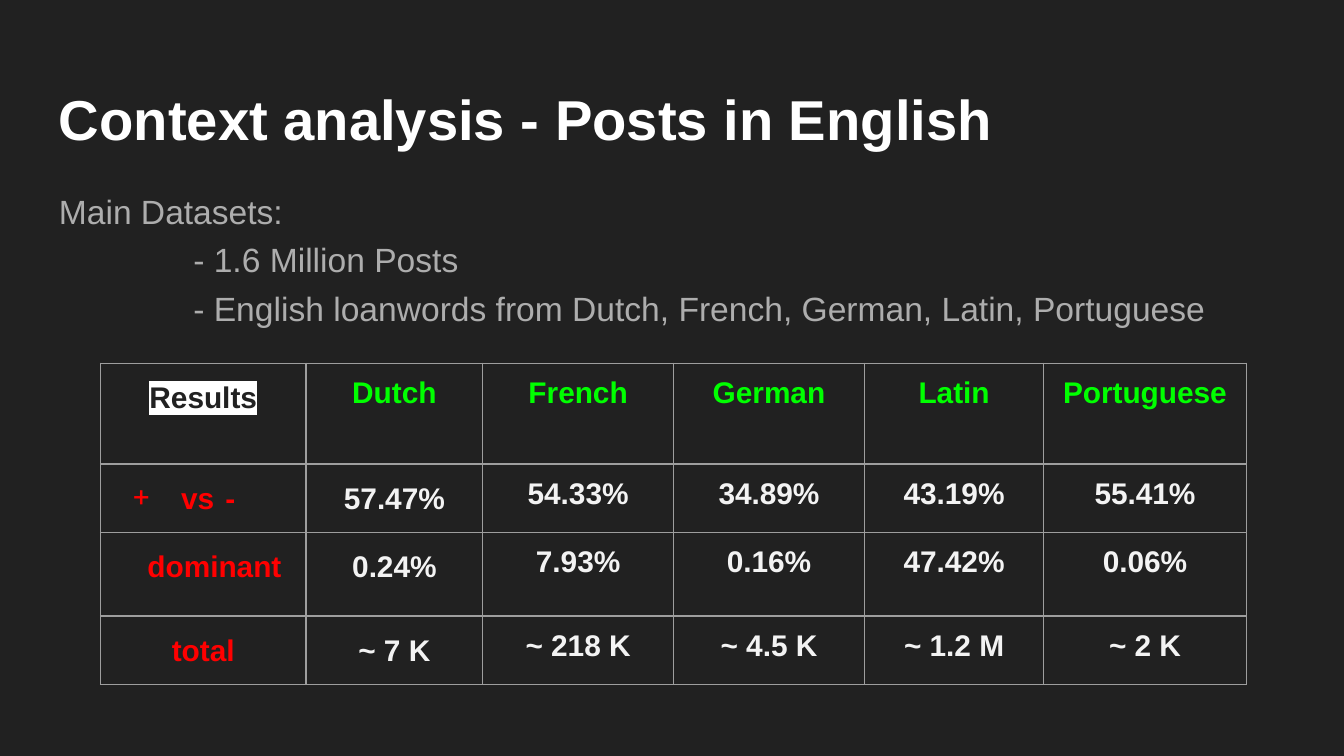
import pptx
import pptx.dml.color
import pptx.enum.text
import pptx.oxml.ns
import pptx.util
from lxml import etree

Pt = pptx.util.Pt
RGBColor = pptx.dml.color.RGBColor
CENTER = pptx.enum.text.PP_ALIGN.CENTER
qn = pptx.oxml.ns.qn

DARK = RGBColor(0x21, 0x21, 0x21)
WHITE = RGBColor(0xFF, 0xFF, 0xFF)
GREY = RGBColor(0xAD, 0xAD, 0xAD)
BORDER = RGBColor(0x9E, 0x9E, 0x9E)
GREEN = RGBColor(0x00, 0xFF, 0x00)
RED = RGBColor(0xFF, 0x00, 0x00)
PALE = RGBColor(0xF3, 0xF3, 0xF3)

FONT = "Arial"
INSET = 7.2
TITLE = "Context analysis - Posts in English"
DATASETS = [
    ("Main Datasets:", 0),
    ("- 1.6 Million Posts", 72),
    ("- English loanwords from Dutch, French, German, Latin, Portuguese", 72),
]
RESULTS = [
    ["Results", "Dutch", "French", "German", "Latin", "Portuguese"],
    ["vs\t-", "57.47%", "54.33%", "34.89%", "43.19%", "55.41%"],
    ["dominant", "0.24%", "7.93%", "0.16%", "47.42%", "0.06%"],
    ["total", "~ 7 K", "~ 218 K", "~ 4.5 K", "~ 1.2 M", "~ 2 K"],
]
COLUMN_WIDTHS = [110.2, 94.6, 102.3, 102.3, 96, 108.6]
ROW_HEIGHTS = [54, 34.8, 45, 34.8]


def add_solid(parent, tag, color):
    """Append a DrawingML element that holds one RGB colour."""
    node = etree.SubElement(parent, qn(tag))
    etree.SubElement(node, qn("a:srgbClr"), val=str(color))
    return node


def style(p, size, color, bold=False):
    """Format every run of a paragraph."""
    for r in p.runs:
        r.font.name = FONT
        r.font.size = Pt(size)
        r.font.bold = bold
        r.font.color.rgb = color


def indent(p, left, first=0):
    """Set the left margin and first-line indent of a paragraph."""
    pPr = p._p.get_or_add_pPr()
    pPr.set("marL", str(Pt(left)))
    pPr.set("indent", str(Pt(first)))
    return pPr


def add_text_frame(s, box, top_inset=INSET, bottom_inset=INSET):
    """Add a wrapping text box and return its text frame."""
    tf = s.shapes.add_textbox(*map(Pt, box)).text_frame
    tf.word_wrap = True
    tf.margin_left = tf.margin_right = Pt(INSET)
    tf.margin_top, tf.margin_bottom = Pt(top_inset), Pt(bottom_inset)
    return tf


def add_title(s, box):
    """Place the slide title in the box."""
    tf = add_text_frame(s, box, 10, 0)
    tf.text = TITLE
    style(tf.paragraphs[0], 30.1, WHITE, True)


def add_datasets(s, box):
    """Place the dataset list in the box."""
    tf = add_text_frame(s, box)
    tf.text = "\n".join(text for text, _ in DATASETS)
    for p, (_, left) in zip(tf.paragraphs, DATASETS):
        p.line_spacing = 1.2
        indent(p, left)
        style(p, 18, GREY)


def add_borders(cell):
    """Draw a thin line on all four sides of a cell."""
    tcPr = cell._tc.get_or_add_tcPr()
    for i, side in enumerate(("a:lnL", "a:lnR", "a:lnT", "a:lnB")):
        line = etree.Element(qn(side), w=str(Pt(0.75)))
        add_solid(line, "a:solidFill", BORDER)
        tcPr.insert(i, line)


def add_plus_bullet(p):
    """Give a paragraph a red plus bullet and a tab stop."""
    pPr = indent(p, 36, -26)
    add_solid(pPr, "a:buClr", RED)
    etree.SubElement(pPr, qn("a:buChar"), char="+")
    tabs = etree.SubElement(pPr, qn("a:tabLst"))
    etree.SubElement(tabs, qn("a:tab"), pos=str(Pt(36)), algn="l")


def highlight(r, color):
    """Put a colour behind the text of a run."""
    rPr = r._r.get_or_add_rPr()
    node = add_solid(rPr, "a:highlight", color)
    rPr.find(qn("a:solidFill")).addnext(node)


def cell_color(row, column):
    """Return the text colour for a table position."""
    if row == 0:
        return GREEN if column else DARK
    return PALE if column else RED


def fill_cell(cell, text, row, column):
    """Write and format one table cell."""
    cell.fill.background()
    add_borders(cell)
    cell.margin_left = cell.margin_right = Pt(INSET)
    cell.margin_top = cell.margin_bottom = Pt(INSET)
    cell.text = text
    p = cell.text_frame.paragraphs[0]
    if column == 0 or (column == 1 and row):
        p.line_spacing = 1.15
    style(p, 16, cell_color(row, column), True)
    if (row, column) == (1, 0):
        add_plus_bullet(p)
    elif (row, column) == (2, 0):
        indent(p, 36, -18)
    else:
        p.alignment = CENTER
    if (row, column) == (0, 0):
        highlight(p.runs[0], WHITE)


def add_results(s, box):
    """Place the results table in the box."""
    table = s.shapes.add_table(len(RESULTS), len(RESULTS[0]), *map(Pt, box)).table
    table.first_row = table.horz_banding = False
    for column, width in zip(table.columns, COLUMN_WIDTHS):
        column.width = Pt(width)
    for row, height in zip(table.rows, ROW_HEIGHTS):
        row.height = Pt(height)
    for i, texts in enumerate(RESULTS):
        for j, text in enumerate(texts):
            fill_cell(table.cell(i, j), text, i, j)


def main():
    """Build and save the slide."""
    prs = pptx.Presentation()
    prs.slide_width, prs.slide_height = Pt(720), Pt(405)
    s = prs.slides.add_slide(prs.slide_layouts[6])
    s.background.fill.solid()
    s.background.fill.fore_color.rgb = DARK
    add_title(s, (24.5, 35.3, 671, 45.4))
    add_datasets(s, (24.5, 90.7, 671, 269.3))
    add_results(s, (53.8, 194.6, sum(COLUMN_WIDTHS), sum(ROW_HEIGHTS)))
    prs.save("out.pptx")


if __name__ == "__main__":
    main()
